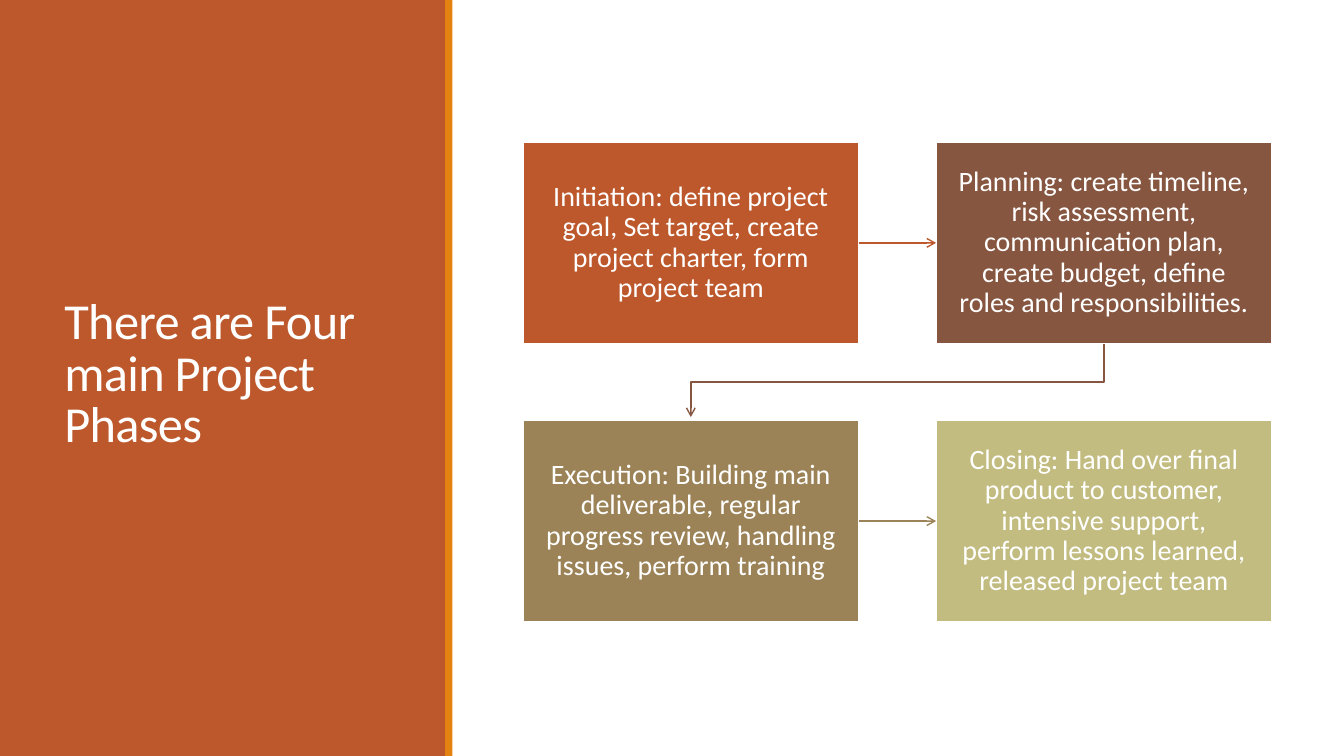
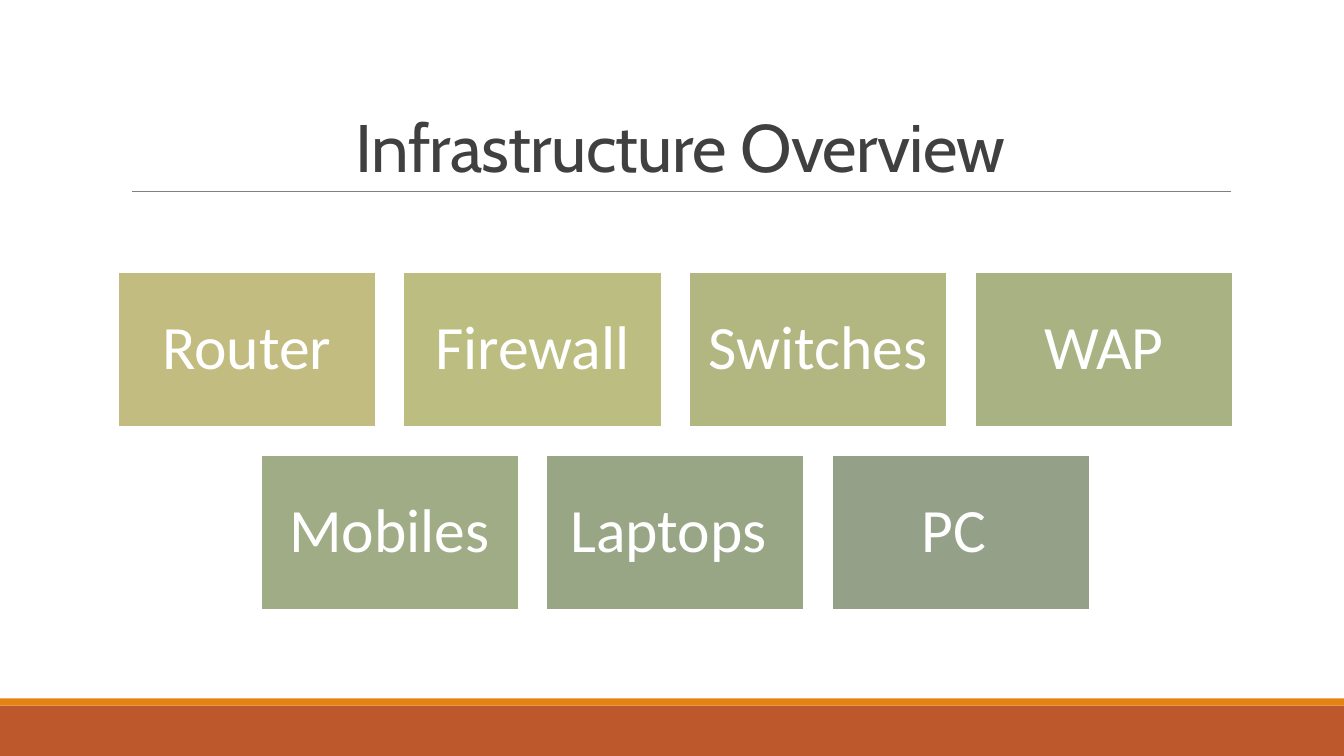
from lxml.etree import SubElement
from pptx import Presentation
from pptx.dml.color import RGBColor
from pptx.enum.shapes import MSO_CONNECTOR as Link, MSO_SHAPE as Preset
from pptx.enum.text import MSO_ANCHOR as Anchor, MSO_AUTO_SIZE as AutoSize, PP_ALIGN as Align
from pptx.oxml.ns import qn
from pptx.util import Cm, Pt

WHITE = RGBColor(0xFF, 0xFF, 0xFF)
CHARCOAL = RGBColor(0x40, 0x40, 0x40)
GRAY = RGBColor(0x80, 0x80, 0x80)
RUST = RGBColor(0xBD, 0x58, 0x2C)
ORANGE = RGBColor(0xE4, 0x83, 0x12)
BROWN = RGBColor(0x86, 0x56, 0x40)
KHAKI = RGBColor(0x9B, 0x83, 0x57)
SAND = RGBColor(0xC2, 0xBC, 0x80)
LIME = RGBColor(0xBC, 0xBD, 0x81)
OLIVE = RGBColor(0xB2, 0xB7, 0x82)
MOSS = RGBColor(0xA8, 0xB2, 0x83)
FERN = RGBColor(0xA0, 0xAC, 0x85)
SAGE = RGBColor(0x99, 0xA6, 0x86)
SLATE = RGBColor(0x94, 0xA0, 0x88)

BODY_FONT = "Calibri"
HEADING_FONT = "Cabin"
PAGE_WIDTH, PAGE_HEIGHT = Cm(33.87), Cm(19.05)
STRIPE = Cm(0.18)

PHASES = [
    ("Initiation: define project goal, Set target, create project charter, "
     "form project team", RUST),
    ("Planning: create timeline, risk assessment, communication plan, "
     "create budget, define roles and responsibilities.", BROWN),
    ("Execution: Building main deliverable, regular progress review, "
     "handling issues, perform training", KHAKI),
    ("Closing: Hand over final product to customer, intensive support, "
     "perform lessons learned, released project team", SAND),
]
DEVICE_ROWS = [
    [("Router", SAND), ("Firewall", LIME), ("Switches ", OLIVE), ("WAP", MOSS)],
    [("Mobiles", FERN), ("Laptops ", SAGE), ("PC ", SLATE)],
]


def add_page(deck):
    return deck.slides.add_slide(deck.slide_layouts[5])


def add_band(page, left, top, width, height, color):
    band = page.shapes.add_shape(Preset.RECTANGLE, left, top, width, height)
    band.shadow.inherit = False
    band.fill.solid()
    band.fill.fore_color.rgb = color
    band.line.fill.background()
    return band


def write(para, text, font, size, color):
    span = para.add_run()
    span.text = text
    span.font.name = font
    span.font.size = Pt(size)
    span.font.color.rgb = color
    return span


def set_title(page, text, left, top, width, height, font, size, color, anchor):
    title = page.shapes.title
    title.left, title.top, title.width, title.height = left, top, width, height
    frame = title.text_frame
    frame.word_wrap = True
    frame.auto_size = AutoSize.NONE
    frame.vertical_anchor = anchor
    para = frame.paragraphs[0]
    para.alignment = Align.LEFT
    para.line_spacing = 0.85
    span = write(para, text, font, size, color)
    span.font._element.set("spc", "-50")
    return title


def add_tile(page, left, top, width, height, text, size, color, inset):
    """Add a filled rectangle with centred white text."""
    tile = add_band(page, left, top, width, height, color)
    tile.line.color.rgb = WHITE
    tile.line.width = Pt(1.25)
    frame = tile.text_frame
    frame.word_wrap = True
    frame.vertical_anchor = Anchor.MIDDLE
    frame.margin_left = frame.margin_right = inset
    frame.margin_top = frame.margin_bottom = inset
    para = frame.paragraphs[0]
    para.alignment = Align.CENTER
    para.line_spacing = 0.9
    write(para, text, BODY_FONT, size, WHITE)
    return tile


def style_line(line_shape, color, width, arrow=False):
    line_shape.line.color.rgb = color
    line_shape.line.width = Pt(width)
    if arrow:
        SubElement(line_shape.line._get_or_add_ln(), qn("a:tailEnd"), type="arrow")


def add_line(page, start, end, color, width, arrow=False):
    line = page.shapes.add_connector(Link.STRAIGHT, *start, *end)
    style_line(line, color, width, arrow)
    SubElement(line.element.spPr, qn("a:effectLst"))
    return line


def add_side_arrow(page, source, target, color):
    """Join the right side of source to the left side of target."""
    middle = source.top + source.height // 2
    arrow = add_line(page, (source.left + source.width, middle),
                     (target.left, middle), color, 1, arrow=True)
    arrow.begin_connect(source, 3)
    arrow.end_connect(target, 1)


def add_return_arrow(page, source, target, color):
    """Lead from the bottom of source, in right angles, to the top of target."""
    start_x = source.left + source.width // 2
    end_x = target.left + target.width // 2
    start_y = source.top + source.height
    end_y = target.top - Cm(0.08)
    turn_y = (start_y + target.top) // 2
    builder = page.shapes.build_freeform(start_x, start_y)
    builder.add_line_segments(
        [(start_x, turn_y), (end_x, turn_y), (end_x, end_y)], close=False)
    arrow = builder.convert_to_shape()
    arrow.shadow.inherit = False
    arrow.fill.background()
    style_line(arrow, color, 1, arrow=True)


def build_phases(deck):
    page = add_page(deck)
    sidebar = add_band(page, 0, 0, Cm(11.25), PAGE_HEIGHT, RUST)
    add_band(page, Cm(11.22), 0, STRIPE, PAGE_HEIGHT, ORANGE)
    title = set_title(page, "There are Four main Project Phases",
                      Cm(1.37), Cm(1.45), Cm(8.56), Cm(16.03),
                      BODY_FONT, 36, WHITE, Anchor.MIDDLE)
    sidebar.element.addnext(title.element)

    width, height = Cm(8.46), Cm(5.08)
    tiles = []
    for index, (text, color) in enumerate(PHASES):
        row, column = divmod(index, 2)
        left = Cm(13.18) + column * Cm(10.41)
        top = Cm(3.58) + row * Cm(7.01)
        tiles.append(add_tile(page, left, top, width, height,
                              text, 20, color, Cm(0.42)))
    initiation, planning, execution, closing = tiles
    add_side_arrow(page, initiation, planning, RUST)
    add_return_arrow(page, planning, execution, BROWN)
    add_side_arrow(page, execution, closing, KHAKI)


def build_infrastructure(deck):
    page = add_page(deck)
    add_band(page, 0, Cm(17.78), PAGE_WIDTH, Cm(1.27), RUST)
    add_band(page, 0, Cm(17.6), PAGE_WIDTH, STRIPE, ORANGE)
    add_line(page, (Cm(3.33), Cm(4.82)), (Cm(31.01), Cm(4.82)), GRAY, 0.5)
    title = set_title(page, "Infrastructure Overview",
                      Cm(3.05), Cm(0.79), Cm(27.94), Cm(4.04),
                      HEADING_FONT, 48, CHARCOAL, Anchor.BOTTOM)
    title.text_frame.margin_left = Cm(5.92)

    width, height, gap = Cm(6.5), Cm(3.9), Cm(0.7)
    for row, devices in enumerate(DEVICE_ROWS):
        row_width = len(devices) * (width + gap) - gap
        row_left = Cm(17.02) - row_width // 2
        for column, (name, color) in enumerate(devices):
            add_tile(page, row_left + column * (width + gap),
                     Cm(6.86) + row * (height + gap), width, height,
                     name, 44, color, Cm(0.45))


def main():
    deck = Presentation()
    deck.slide_width, deck.slide_height = PAGE_WIDTH, PAGE_HEIGHT
    build_phases(deck)
    build_infrastructure(deck)
    deck.save("out.pptx")


if __name__ == "__main__":
    main()
